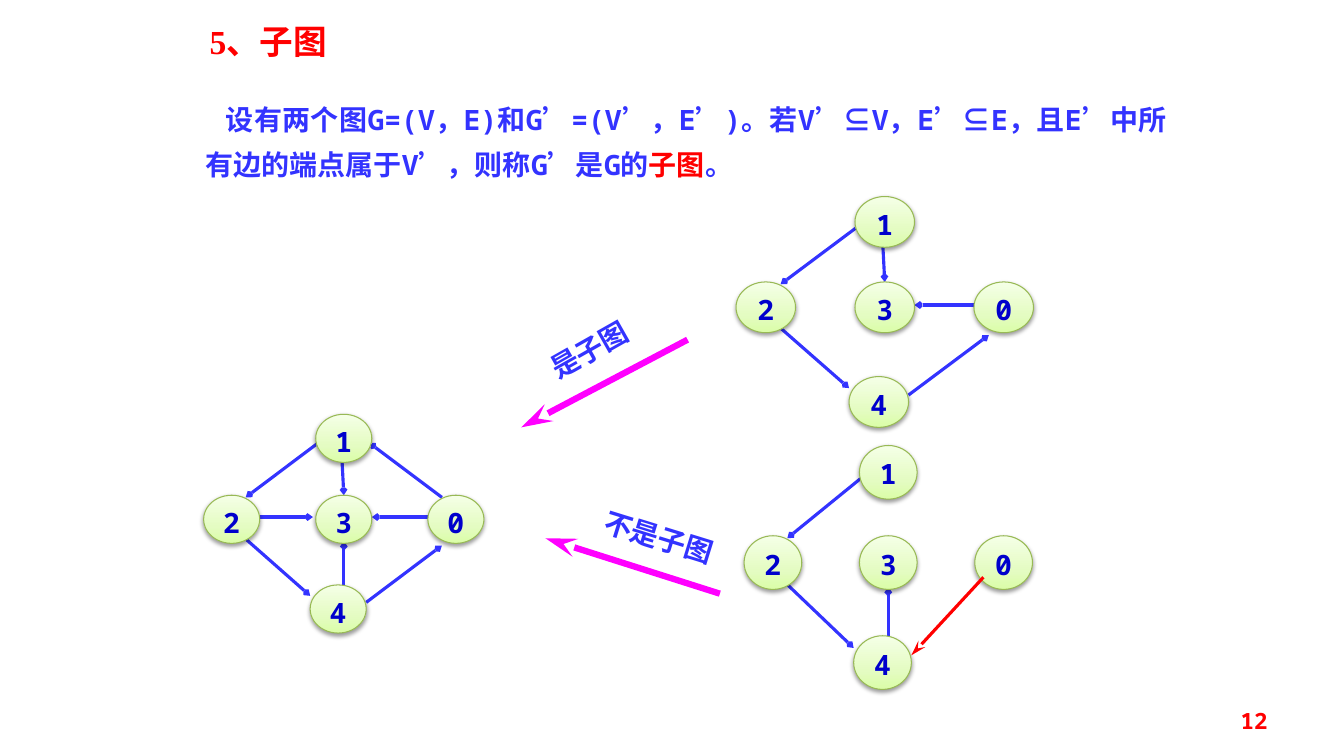
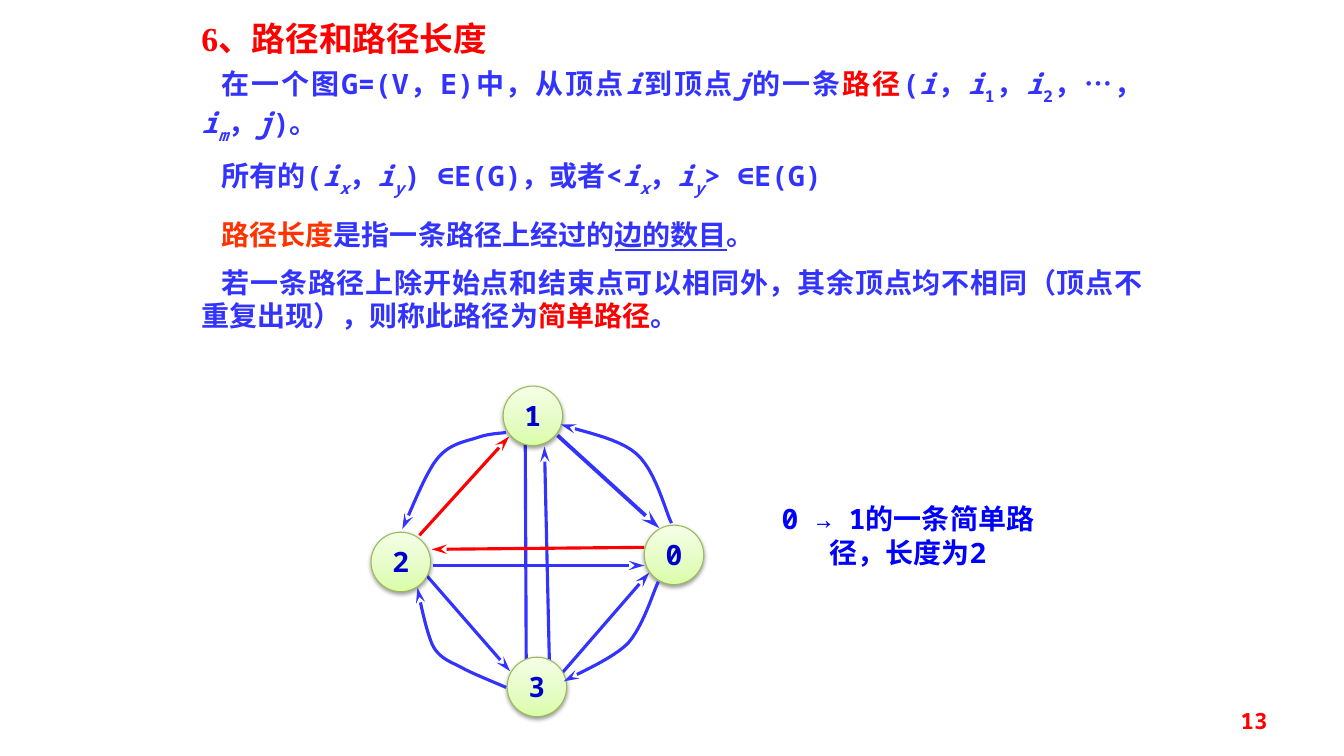
from lxml import etree
from pptx import Presentation
from pptx.dml.color import RGBColor
from pptx.enum import shapes, text
from pptx.oxml import ns
from pptx.util import Emu, Inches, Pt

INK = {"blue": "3333FF", "red": "FF0000", "orange": "FF3300", "pink": "FF00FF",
       "note": "0000FF", "node": "0000CC", "rim": "98B955", "black": "000000"}
SHADE = [(0, "DAFDA7"), (35, "E4FCC2"), (100, "F5FFE7")]
MONO, HAN, SERIF = "Noto Sans Mono", "Noto Sans CJK SC", "Times New Roman"
ALIGN = text.PP_ALIGN
HEADS = {"arrow": "sm", "stealth": "lg"}

SPOTS = {"1": (0.4, 0), "3": (0.4, 0.37), "0": (0.8, 0.37), "2": (0, 0.37), "4": (0.38, 0.78)}
EDGES = {"13": (0.49, 0.12, 0.5, 0.37), "43": (0.5, 0.8, 0.5, 0.58),
         "03": (0.8, 0.47, 0.6, 0.47), "23": (0.19, 0.47, 0.39, 0.47),
         "24": (0.15, 0.57, 0.38, 0.83), "40": (0.58, 0.86, 0.85, 0.6),
         "01": (0.85, 0.38, 0.59, 0.13), "12": (0.42, 0.12, 0.15, 0.38)}

RING = {"1": (1.31, 0), "0": (2.71, 1.38), "2": (0, 1.45), "3": (1.35, 2.69)}
ROADS = [((1.53, 0.58, 1.54, 2.87), "blue", 2.25),
         ((1.78, 3.22, 1.72, 0.6), "blue", 2.25),
         ((0.61, 1.78, 2.71, 1.78), "blue", 2.25),
         ((0.36, 1.66, 1.38, 2.83), "blue", 2.25),
         ((1.78, 2.98, 2.76, 1.85), "blue", 2.25),
         ((2.71, 1.6, 0.6, 1.62), "red", 2.25),
         ((0.48, 1.48, 1.37, 0.5), "red", 2.25),
         ((1.85, 0.49, 2.86, 1.41), "blue", 2.75)]
BENDS = [
    [(2.85, 1.94), (2.8, 2.04), (2.7, 2.38), (2.55, 2.55), (2.39, 2.71), (2.05, 2.85), (1.91, 2.93)],
    [(1.34, 0.46), (1.29, 0.47), (1.17, 0.47), (1.06, 0.51), (0.94, 0.55), (0.77, 0.57),
     (0.65, 0.73), (0.53, 0.88), (0.38, 1.28), (0.31, 1.42)],
    [(1.34, 2.99), (1.25, 2.95), (1.05, 2.87), (0.93, 2.81), (0.81, 2.74), (0.7, 2.72),
     (0.62, 2.59), (0.55, 2.46), (0.48, 2.1), (0.46, 2)],
    [(2.98, 1.36), (2.92, 1.24), (2.82, 0.83), (2.63, 0.67), (2.45, 0.51), (2.04, 0.44), (1.88, 0.38)],
]


def tag(host, name, **attrs):
    return etree.SubElement(host, ns.qn(name), {k: str(v) for k, v in attrs.items()})


def style(run, size, face, ink, flags=""):
    font = run.font
    font.size, font.name, font.bold = Pt(size), face, True
    font.color.rgb = RGBColor.from_string(INK[ink])
    props = run._r.get_or_add_rPr()
    tag(props, "a:ea", typeface=HAN)
    if "i" in flags:
        font.italic = True
    if "u" in flags:
        font.underline = True
    if "s" in flags:
        props.set("baseline", "-30000")


def words(slide, box, paras, size=20, face=MONO, ink="blue", align=ALIGN.LEFT,
          pitch=None, gap=0, indent=0, inset=True):
    shape = slide.shapes.add_textbox(*map(Inches, box))
    frame = shape.text_frame
    frame.word_wrap = True
    if not inset:
        frame.margin_left = frame.margin_right = frame.margin_top = frame.margin_bottom = 0
    for n, runs in enumerate(paras):
        para = frame.add_paragraph() if n else frame.paragraphs[0]
        para.alignment = align
        para.space_before = Pt(gap if n else 0)
        if pitch:
            para.line_spacing = Pt(pitch[n])
        if indent:
            para._p.get_or_add_pPr().set("indent", str(Inches(indent)))
        for part in runs:
            words_, tint, flags = (*part, "", "")[:3] if isinstance(part, tuple) else (part, "", "")
            run = para.add_run()
            run.text = words_
            style(run, size, face, tint or ink, flags)
    return shape


def title(slide, left, top, label):
    words(slide, (left, top, 6, 0.5), [[label]], 24, SERIF, "red")


def page(slide, num):
    shape = words(slide, (9.56, 6.95, 3.11, 0.4), [[num]], 16, ink="red", align=ALIGN.RIGHT)
    shape.text_frame.vertical_anchor = text.MSO_ANCHOR.MIDDLE


def stroke(shape, ink, width, head):
    shape.line.color.rgb = RGBColor.from_string(INK[ink])
    shape.line.width = Pt(width)
    line = shape._element.spPr.find(ns.qn("a:ln"))
    tag(line, "a:tailEnd", type=head, w="sm" if head == "arrow" else "med", len=HEADS[head])


def arrow(slide, ends, ink="blue", width=2.25, head="stealth"):
    line = slide.shapes.add_connector(shapes.MSO_CONNECTOR.STRAIGHT, *map(Inches, ends))
    stroke(line, ink, width, head)
    tag(line._element.spPr, "a:effectLst")


def bend(slide, left, top, knots, steps=12):
    dots = [knots[0]]
    for n in range(0, len(knots) - 1, 3):
        a, b, c, d = knots[n:n + 4]
        for t in (k / steps for k in range(1, steps + 1)):
            s = 1 - t
            dots.append(tuple(s ** 3 * a[k] + 3 * s * s * t * b[k] + 3 * s * t * t * c[k]
                              + t ** 3 * d[k] for k in (0, 1)))
    dots = [(Inches(left + x), Inches(top + y)) for x, y in dots]
    form = slide.shapes.build_freeform(*dots[0], scale=1.0)
    form.add_line_segments(dots[1:], close=False)
    curve = form.convert_to_shape()
    curve.shadow.inherit = False
    curve.fill.background()
    stroke(curve, "blue", 2.25, "stealth")


def node(slide, box, label):
    ball = slide.shapes.add_shape(shapes.MSO_SHAPE.OVAL, *map(Inches, box))
    ball.line.color.rgb = RGBColor.from_string(INK["rim"])
    ball.line.width = Pt(0.75)
    ball.shadow.inherit = False
    props = ball._element.spPr
    grad = etree.Element(ns.qn("a:gradFill"), {"rotWithShape": "1"})
    stops = tag(grad, "a:gsLst")
    for pos, tint in SHADE:
        tag(tag(stops, "a:gs", pos=pos * 1000), "a:srgbClr", val=tint)
    tag(grad, "a:lin", ang=270 * 60000, scaled=0)
    props.find(ns.qn("a:ln")).addprevious(grad)
    glow = tag(props.find(ns.qn("a:effectLst")), "a:outerShdw", blurRad=Pt(3.1), dist=Pt(1.6),
               dir=90 * 60000, rotWithShape=0)
    tag(tag(glow, "a:srgbClr", val=INK["black"]), "a:alpha", val=38000)
    frame = ball.text_frame
    frame.text = label
    frame.margin_left = frame.margin_right = frame.margin_bottom = 0
    frame.margin_top = Inches(0.12)
    frame.vertical_anchor = text.MSO_ANCHOR.TOP
    para = frame.paragraphs[0]
    para.alignment, para.line_spacing = ALIGN.CENTER, 0.72
    style(para.runs[0], 20, MONO, "node")


def fit(box, ends):
    left, top, wide, high = box
    return [v * (high if n % 2 else wide) + (top if n % 2 else left) for n, v in enumerate(ends)]


def graph(slide, box, names):
    for name in names.split():
        arrow(slide, fit(box, EDGES[name]), head="arrow")
    for label, spot in SPOTS.items():
        node(slide, (*fit(box, spot), box[2] * 0.2, box[3] * 0.22), label)


def ring(slide, left, top):
    for n, (ends, ink, width) in enumerate(ROADS):
        arrow(slide, fit((left, top, 1, 1), ends), ink, width, "stealth" if n else "arrow")
    for label, (x, y) in RING.items():
        node(slide, (left + x, top + y, 0.59, 0.59), label)
    for knots in BENDS:
        bend(slide, left, top, knots)


def verdict(slide, ends, box, label, turn):
    arrow(slide, ends, "pink", 4.5)
    shape = words(slide, box, [[label]], face=HAN, align=ALIGN.CENTER, inset=False)
    shape.rotation = turn


def subs(slide):
    title(slide, 1.98, 0.16, "5、子图")
    words(slide, (1.94, 0.86, 9.73, 0.95),
          [["设有两个图G=(V，E)和G’=(V’，E’)。若V’⊆V，E’⊆E，且E’中所有边的端点属于V’，则称G’是G的",
            ("子图", "red"), "。"]], align=ALIGN.JUSTIFY, pitch=[32], indent=0.2)
    graph(slide, (2.02, 4.11, 2.78, 2.17), "13 43 03 23 24 40 01 12")
    graph(slide, (7.3, 1.95, 2.95, 2.29), "13 03 24 40 12")
    last = (7.38, 4.42, 2.86, 2.42)
    graph(slide, last, "43 24 12")
    arrow(slide, fit(last, (0.83, 0.54, 0.58, 0.86)), "red")
    verdict(slide, (6.82, 3.37, 5.17, 4.24), (5.02, 3.3, 1.65, 0.34), "是子图", 330.4)
    verdict(slide, (7.14, 5.89, 5.41, 5.34), (5.71, 5.16, 1.65, 0.34), "不是子图", 17.2)
    page(slide, "12")


def paths(slide):
    title(slide, 1.9, 0.13, "6、路径和路径长度")
    i, j = ("i", "", "i"), ("j", "", "i")
    pair = [i, ("x", "", "is"), "，", i, ("y", "", "is")]
    words(slide, (1.9, 0.61, 9.53, 2.72), [
        ["在一个图G=(V，E)中，从顶点", i, "到顶点", j, "的一条", ("路径", "red"), "(", i, "，",
         i, ("1", "", "s"), "，", i, ("2", "", "s"), "，…，", i, ("m", "", "is"), "，", j, ")。"],
        ["所有的(", *pair, ") ∈E(G)，或者<", *pair, "> ∈E(G)"],
        [("路径长度", "orange"), "是指一条路径上经过的", ("边的数目", "", "u"), "。"],
        ["若一条路径上除开始点和结束点可以相同外，其余顶点均不相同（顶点不重复出现），则称此路径为",
         ("简单路径", "red"), "。"],
    ], align=ALIGN.JUSTIFY, pitch=[28, 28, 28, 24], gap=10, indent=0.2)
    ring(slide, 3.68, 3.83)
    words(slide, (7.6, 4.93, 2.81, 0.77), [["0 → 1的一条简单路径，长度为2"]],
          ink="note", align=ALIGN.CENTER, pitch=[24])
    page(slide, "13")


def main():
    deck = Presentation()
    deck.slide_width, deck.slide_height = Inches(13.33), Inches(7.5)
    for draw in (subs, paths):
        draw(deck.slides.add_slide(deck.slide_layouts[6]))
    deck.save("out.pptx")


if __name__ == "__main__":
    main()
